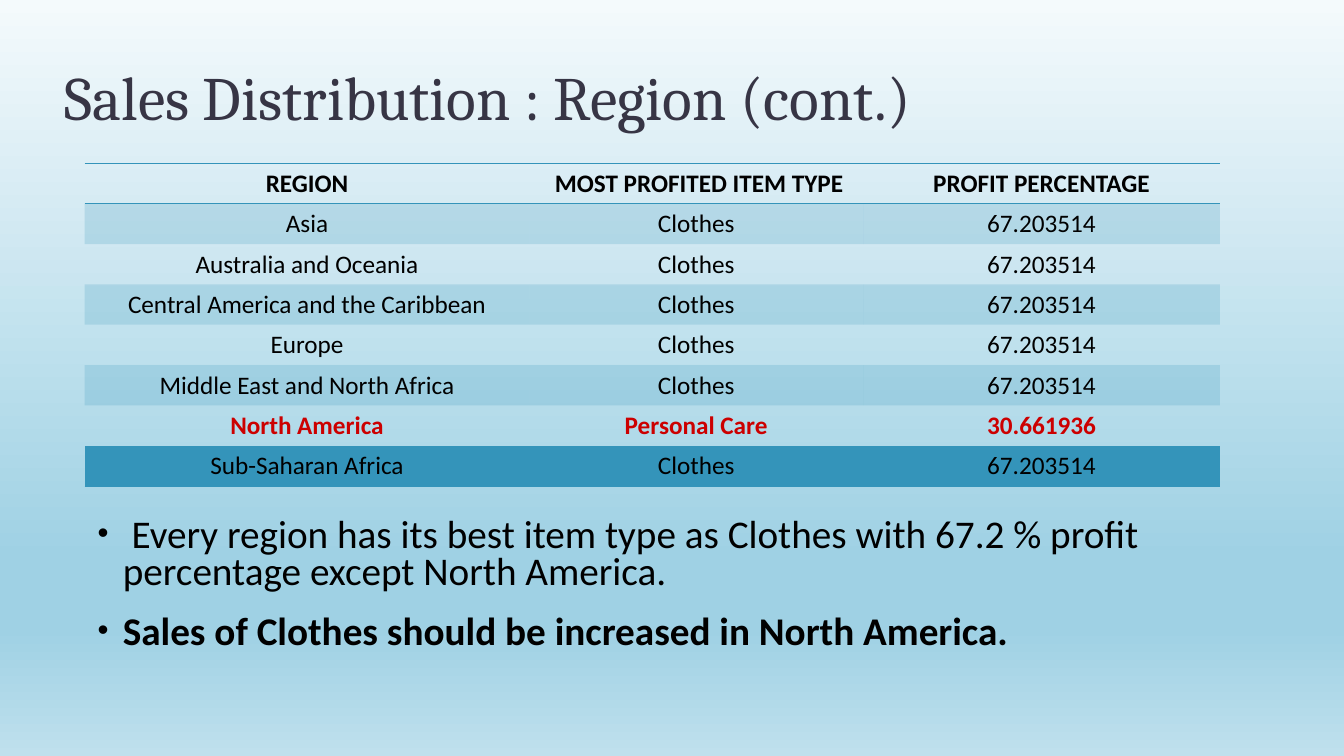
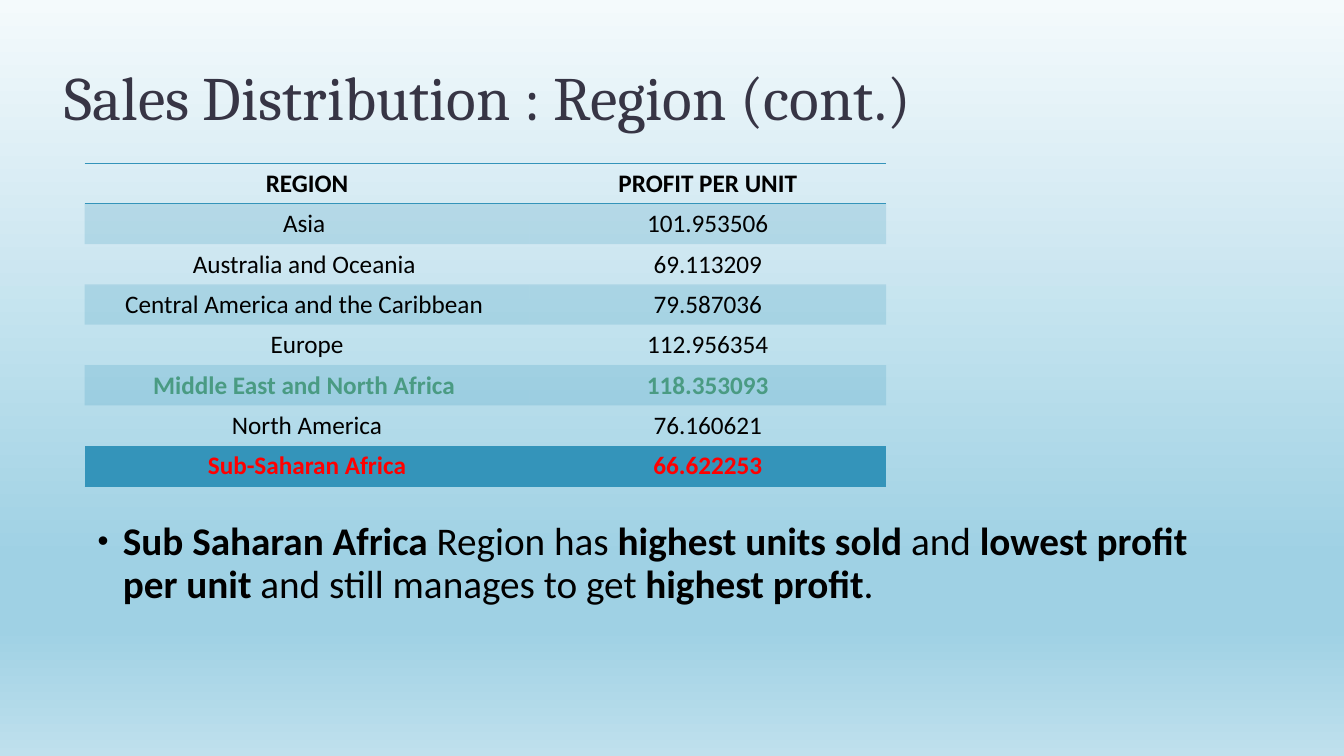
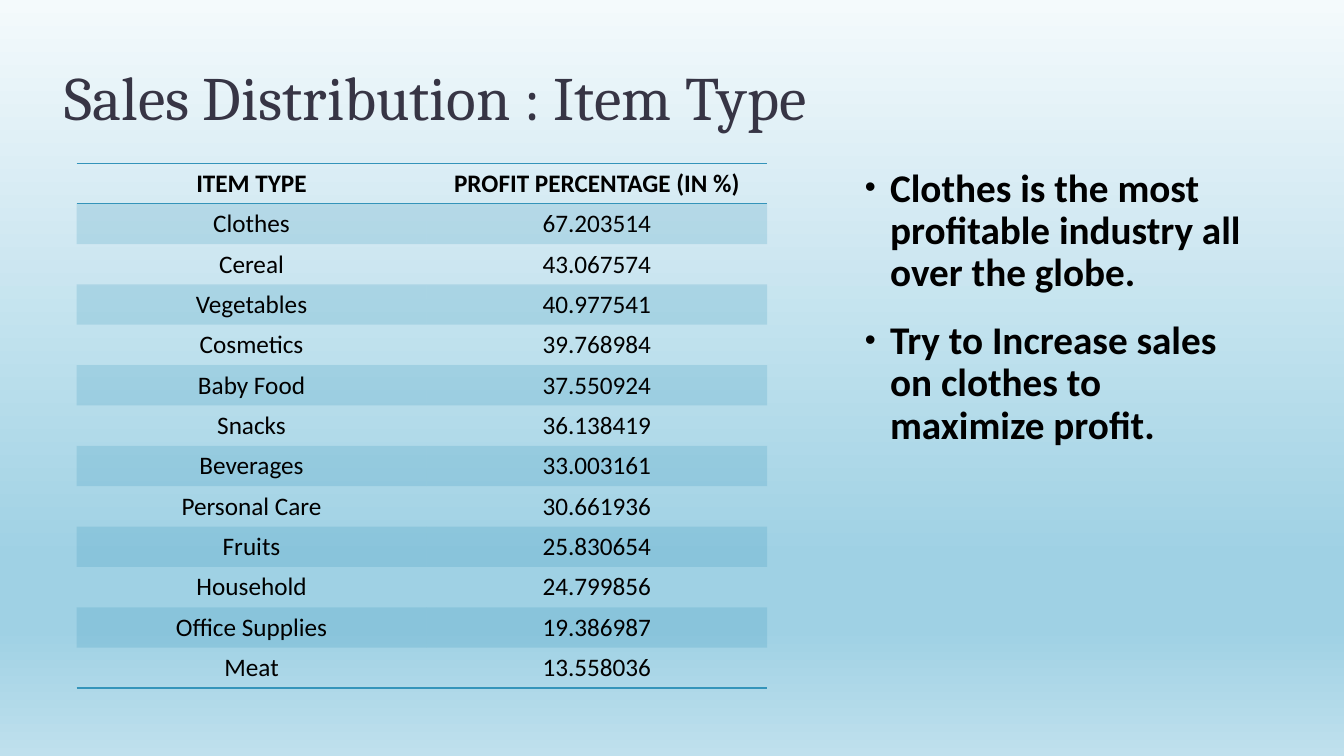
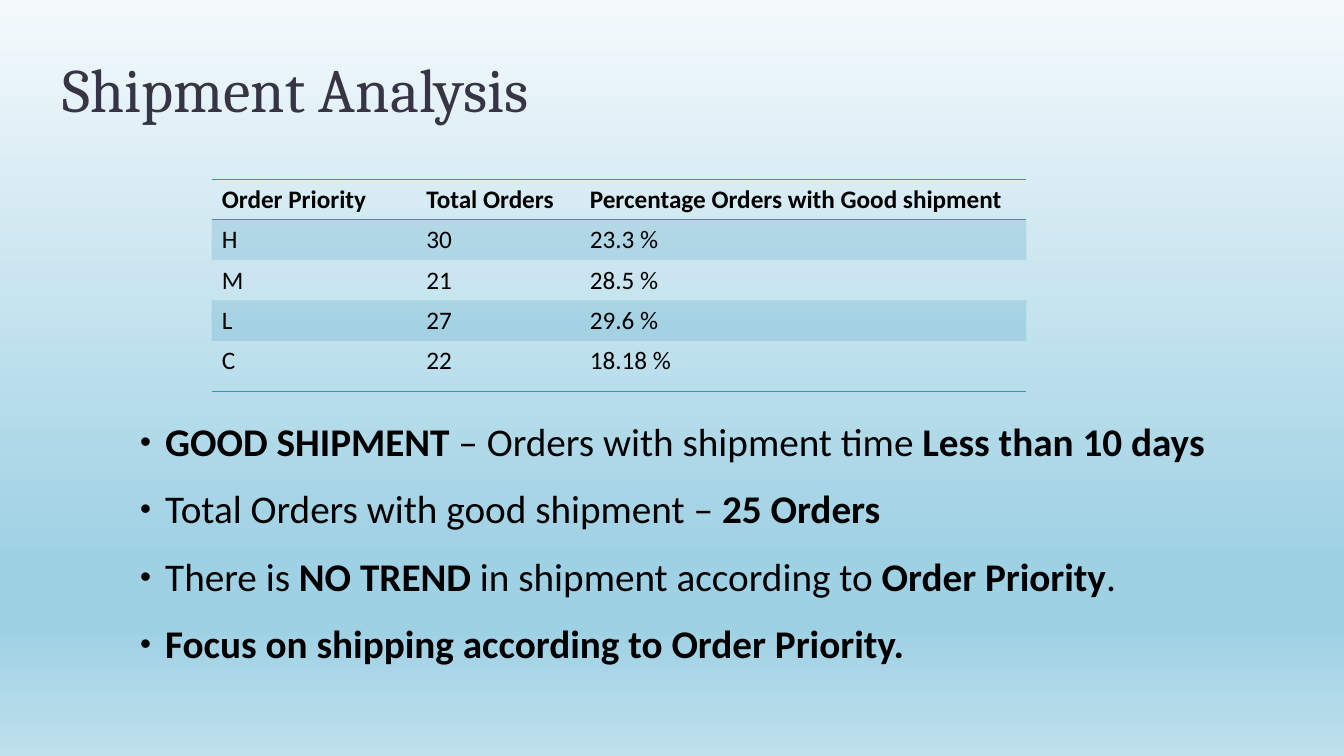
"""Build four sales and shipment analysis slides, each with a table and findings."""
from dataclasses import dataclass

from lxml.etree import SubElement
from pptx import Presentation
from pptx.dml.color import RGBColor
from pptx.enum.text import MSO_ANCHOR as Anchor, MSO_AUTO_SIZE as AutoSize, PP_ALIGN as Align
from pptx.oxml import parse_xml
from pptx.oxml.ns import nsdecls, qn
from pptx.util import Inches, Pt


@dataclass(frozen=True)
class Theme:
    title_font: str = "Cambria"
    body_font: str = "Calibri"
    title_size: int = 44
    body_size: int = 28
    table_size: int = 18
    title: str = "373545"
    text: str = "000000"
    accent: str = "3494BA"
    warning: str = "CC0000"
    lowest: str = "FF0000"
    highest: str = "4A9B83"
    band_opacity: int = 20
    border_width: int = 1
    backdrop: tuple = ((0, "F4FAFC"), (74, "9FD1E4"), (83, "9FD1E4"), (100, "BFE0ED"))


THEME = Theme()
TITLE_BOX = (0.54, 0.51, 12, 0.85)
ROW_HEIGHT = 0.4
PLAIN_TABLE_STYLE = "{2D5ABB26-0587-4C30-8999-92F81FD0307C}"

SLIDES = [
    {
        "title": "Sales Distribution : Region (cont.)",
        "table_at": (0.84, 1.62),
        "columns": (4.41, 3.31, 3.54),
        "rows": [
            ("REGION", " MOST PROFITED ITEM TYPE", "PROFIT PERCENTAGE"),
            ("Asia", "Clothes", "67.203514"),
            ("Australia and Oceania", "Clothes", "67.203514"),
            ("Central America and the Caribbean", "Clothes", "67.203514"),
            ("Europe", "Clothes", "67.203514"),
            ("Middle East and North Africa", "Clothes", "67.203514"),
            ("North America", "Personal Care", "30.661936"),
            ("Sub-Saharan Africa", "Clothes", "67.203514"),
        ],
        "highlights": {6: THEME.warning},
        "findings_box": (0.87, 5.09, 11.25, 1.59),
        "line_spacing": 0.8,
        "space_before": 16,
        "findings": [
            " Every region has its best item type as Clothes with 67.2 % profit "
            "percentage except North America.",
            "**Sales of Clothes should be increased in North America.**",
        ],
    },
    {
        "title": "Sales Distribution : Region (cont.)",
        "table_at": (0.84, 1.62),
        "columns": (4.41, 3.54),
        "rows": [
            ("REGION", "PROFIT PER UNIT"),
            ("Asia ", "101.953506"),
            ("Australia and Oceania ", "69.113209"),
            ("Central America and the Caribbean ", "79.587036"),
            ("Europe", "112.956354"),
            ("Middle East and North Africa ", "118.353093"),
            ("North America", "76.160621"),
            ("Sub-Saharan Africa", "66.622253"),
        ],
        "highlights": {5: THEME.highest, 7: THEME.lowest},
        "findings_box": (0.87, 5.13, 11.25, 1.55),
        "findings": [
            "**Sub Saharan Africa **Region has **highest units sold **and "
            "**lowest profit per unit** and still manages to get **highest profit**.",
        ],
    },
    {
        "title": "Sales Distribution : Item Type",
        "table_at": (0.76, 1.62),
        "columns": (3.47, 3.38),
        "rows": [
            ("ITEM TYPE", "PROFIT PERCENTAGE (IN %)"),
            ("Clothes", "67.203514"),
            ("Cereal", "43.067574"),
            ("Vegetables", "40.977541"),
            ("Cosmetics", "39.768984"),
            ("Baby Food", "37.550924"),
            ("Snacks", "36.138419"),
            ("Beverages", "33.003161"),
            ("Personal Care", "30.661936"),
            ("Fruits", "25.830654"),
            ("Household", "24.799856"),
            ("Office Supplies", "19.386987"),
            ("Meat", "13.558036"),
        ],
        "findings_box": (8.48, 1.62, 4.09, 5.2),
        "findings": [
            "**Clothes is the most profitable industry all over the globe.**",
            "**Try to Increase sales on clothes to maximize profit.**",
        ],
    },
    {
        "title": "Shipment Analysis",
        "title_box": (0.52, 0.51, 12, 0.77),
        "table_at": (2.1, 1.78),
        "columns": (2.03, 1.62, 4.43),
        "align": Align.LEFT,
        "last_row_height": 0.5,
        "rows": [
            ("Order Priority", "Total Orders", "Percentage Orders with Good shipment"),
            ("H", "30", "23.3 %"),
            ("M", "21", "28.5 %"),
            ("L", "27", "29.6 %"),
            ("C", "22", "18.18 %"),
        ],
        "findings_box": (1.29, 4.14, 11.25, 2.85),
        "findings": [
            "**GOOD SHIPMENT **– Orders with shipment time **Less than 10 days**",
            "Total Orders with good shipment – **25 Orders**",
            "There is **NO TREND **in shipment according to **Order Priority**.",
            "**Focus on shipping according to Order Priority.**",
        ],
    },
]


def format_run(run, font, size, color, bold=False):
    run.font.name = font
    run.font.size = Pt(size)
    run.font.bold = bold
    run.font.color.rgb = RGBColor.from_string(color)


def paint_backdrop(master):
    fill = master.background.fill
    fill.gradient()
    fill.gradient_angle = 270
    stops = next(master.element.iter(qn("a:gsLst")))
    for stop in list(stops):
        stops.remove(stop)
    for position, color in THEME.backdrop:
        stop = SubElement(stops, qn("a:gs"), pos=str(position * 1000))
        SubElement(stop, qn("a:srgbClr"), val=color)


def set_title(slide, text, box):
    title = slide.shapes.title
    title.left, title.top, title.width, title.height = map(Inches, box)
    frame = title.text_frame
    frame.text = text
    frame.auto_size = AutoSize.NONE
    frame.vertical_anchor = Anchor.BOTTOM
    paragraph = frame.paragraphs[0]
    paragraph.alignment = Align.LEFT
    paragraph.line_spacing = 0.8
    format_run(paragraph.runs[0], THEME.title_font, THEME.title_size, THEME.title)


def add_border(cell, side):
    cell._tc.get_or_add_tcPr().append(parse_xml(
        f'<a:{side} {nsdecls("a")} w="{Pt(THEME.border_width)}"><a:solidFill>'
        f'<a:srgbClr val="{THEME.accent}"/></a:solidFill></a:{side}>'))


def fill_band(cell):
    cell.fill.solid()
    cell.fill.fore_color.rgb = RGBColor.from_string(THEME.accent)
    color = next(cell._tc.tcPr.iter(qn("a:solidFill")))[0]
    SubElement(color, qn("a:alpha"), val=str(THEME.band_opacity * 1000))
    properties = cell._tc.tcPr
    properties.append(properties.find(qn("a:solidFill")))


def add_table(slide, content):
    rows, columns = content["rows"], content["columns"]
    left, top = content["table_at"]
    frame = slide.shapes.add_table(
        len(rows), len(columns), Inches(left), Inches(top),
        Inches(sum(columns)), Inches(ROW_HEIGHT * len(rows)))
    next(frame.element.iter(qn("a:tableStyleId"))).text = PLAIN_TABLE_STYLE
    table = frame.table
    table.first_row = table.horz_banding = False
    for column, width in zip(table.columns, columns):
        column.width = Inches(width)
    for row in table.rows:
        row.height = Inches(ROW_HEIGHT)
    last = len(rows) - 1
    table.rows[last].height = Inches(content.get("last_row_height", ROW_HEIGHT))
    highlights = content.get("highlights", {})
    for row_index, values in enumerate(rows):
        for column_index, value in enumerate(values):
            cell = table.cell(row_index, column_index)
            cell.text_frame.text = value
            paragraph = cell.text_frame.paragraphs[0]
            paragraph.alignment = content.get("align", Align.CENTER)
            format_run(paragraph.runs[0], THEME.body_font, THEME.table_size,
                       highlights.get(row_index, THEME.text),
                       row_index == 0 or row_index in highlights)
            if row_index == 0:
                add_border(cell, "lnT")
            if row_index in (0, last):
                add_border(cell, "lnB")
            if row_index % 2:
                fill_band(cell)


def add_bullet(paragraph):
    properties = paragraph._p.get_or_add_pPr()
    properties.set("marL", str(Inches(0.25)))
    properties.set("indent", str(-Inches(0.25)))
    color = SubElement(properties, qn("a:buClr"))
    SubElement(color, qn("a:srgbClr"), val=THEME.text)
    SubElement(properties, qn("a:buSzPct"), val="80000")
    SubElement(properties, qn("a:buFont"), typeface="Arial")
    SubElement(properties, qn("a:buChar"), char="•")


def add_findings(slide, content):
    box = slide.shapes.add_textbox(*map(Inches, content["findings_box"]))
    frame = box.text_frame
    frame.word_wrap = True
    for index, finding in enumerate(content["findings"]):
        paragraph = frame.add_paragraph() if index else frame.paragraphs[0]
        paragraph.line_spacing = content.get("line_spacing", 0.9)
        paragraph.space_before = Pt(content.get("space_before", 18))
        add_bullet(paragraph)
        for part_index, part in enumerate(finding.split("**")):
            if part:
                run = paragraph.add_run()
                run.text = part
                format_run(run, THEME.body_font, THEME.body_size, THEME.text,
                           part_index % 2 == 1)


def main():
    presentation = Presentation()
    presentation.slide_width = Inches(13.33)
    presentation.slide_height = Inches(7.5)
    paint_backdrop(presentation.slide_master)
    layout = presentation.slide_layouts.get_by_name("Title Only")
    for content in SLIDES:
        slide = presentation.slides.add_slide(layout)
        set_title(slide, content["title"], content.get("title_box", TITLE_BOX))
        add_findings(slide, content)
        add_table(slide, content)
    presentation.save("out.pptx")


if __name__ == "__main__":
    main()
